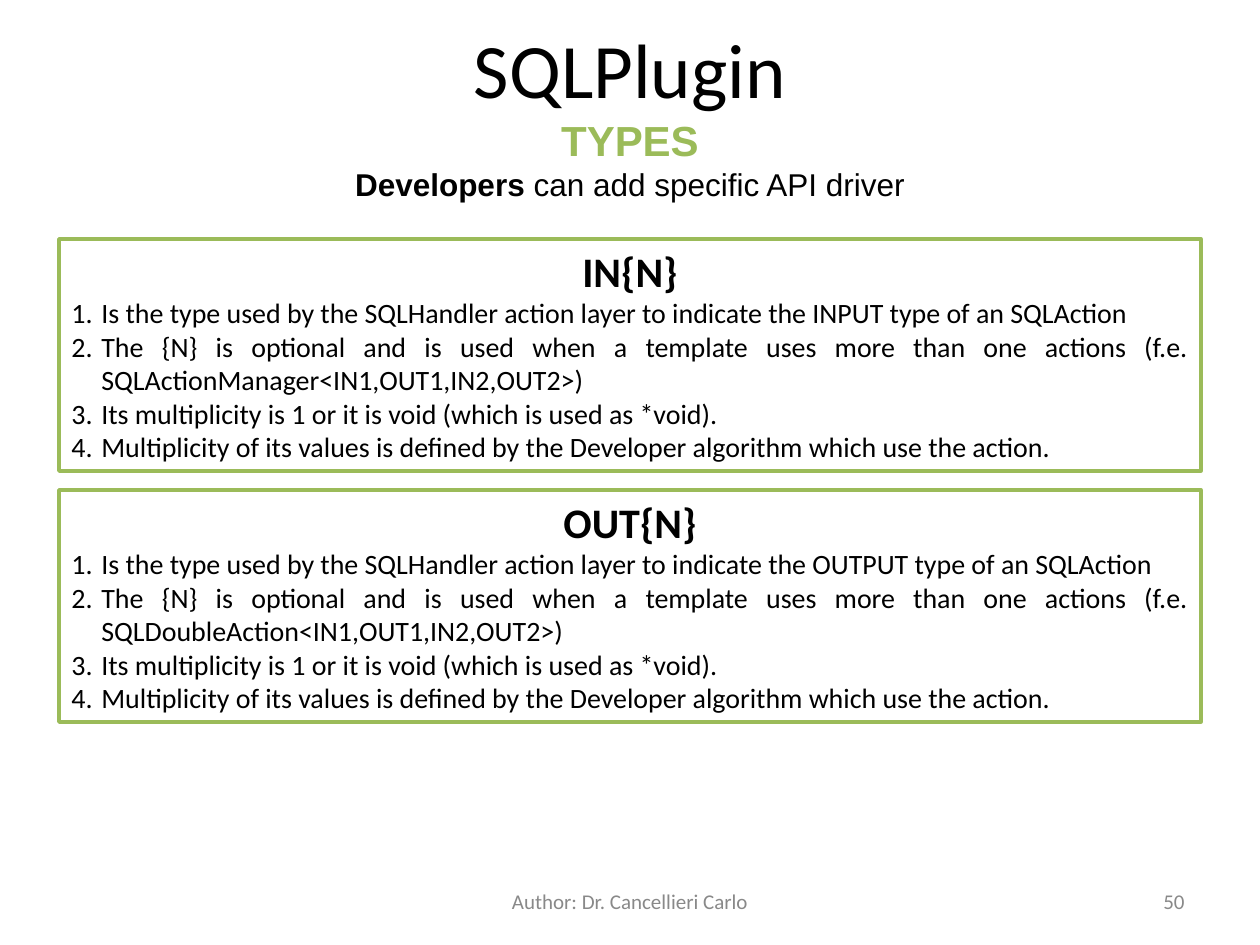
from dataclasses import dataclass

from lxml import etree
from pptx import Presentation
from pptx.dml.color import RGBColor
from pptx.enum.shapes import MSO_SHAPE
from pptx.enum.text import MSO_ANCHOR, PP_ALIGN
from pptx.oxml.ns import qn
from pptx.util import Emu, Pt

RECT = MSO_SHAPE.RECTANGLE
TOP, MIDDLE = MSO_ANCHOR.TOP, MSO_ANCHOR.MIDDLE
CENTER, RIGHT, JUSTIFY = PP_ALIGN.CENTER, PP_ALIGN.RIGHT, PP_ALIGN.JUSTIFY
SCALE = 914400 / 126


@dataclass(frozen=True)
class Theme:
    """Colours, fonts and type sizes of the slide."""
    ink: str = "000000"
    green: str = "9BBB59"
    grey: str = "898989"
    paper: str = "FFFFFF"
    main: str = "Calibri"
    sub: str = "Arial"
    title: int = 44
    head: int = 24
    lead: int = 18
    body: int = 16
    foot: int = 12


THEME = Theme()


def px(num):
    """Turn pixels into EMU."""
    return Emu(round(num * SCALE))


def style(para, size, color=THEME.ink, face=THEME.main, bold=False, align=CENTER):
    """Format a paragraph and its runs."""
    para.alignment = align
    for run in para.runs:
        font = run.font
        font.size, font.name, font.bold = Pt(size), face, bold
        font.color.rgb = RGBColor.from_string(color)


def number(para):
    """Give a paragraph an automatic number and a hanging indent."""
    props = para._p.get_or_add_pPr()
    props.set("marL", str(px(30)))
    props.set("indent", str(-px(30)))
    etree.SubElement(props, qn("a:buFont"), typeface=THEME.main)
    etree.SubElement(props, qn("a:buAutoNum"), type="arabicPeriod")


def add_text(slide, box, text, anchor=MIDDLE):
    """Place a wrapping text box and return its paragraphs."""
    frame = slide.shapes.add_textbox(*map(px, box)).text_frame
    frame.word_wrap = True
    frame.vertical_anchor = anchor
    frame.text = text
    return frame.paragraphs


def add_head(slide, box):
    """Draw the title with the subtitle and lead line under it."""
    left, top, width, height = box
    title, = add_text(slide, (left + 36, top, width - 72, 136), "SQLPlugin")
    style(title, THEME.title)
    types, lead = add_text(slide, (left, top + 108, width, height - 108),
                           "TYPES\nDevelopers", TOP)
    style(types, THEME.head, THEME.green, THEME.sub, True)
    lead.add_run().text = " can add specific API driver"
    style(lead, THEME.lead, face=THEME.sub)
    lead.runs[0].font.bold = True


def add_panel(slide, box, name, kind, sample):
    """Draw a framed panel with a heading and a numbered list."""
    shape = slide.shapes.add_shape(RECT, *map(px, box))
    shape.shadow.inherit = False
    shape.fill.solid()
    shape.fill.fore_color.rgb = RGBColor.from_string(THEME.paper)
    shape.line.color.rgb = RGBColor.from_string(THEME.green)
    shape.line.width = Pt(2)
    frame = shape.text_frame
    frame.word_wrap = True
    frame.vertical_anchor = TOP
    frame.text = "\n".join([
        name,
        f"Is the type used by the SQLHandler action layer to indicate the {kind} type of an SQLAction",
        "The {N} is optional and is used when a template uses more than one actions "
        f"(f.e. {sample}<IN1,OUT1,IN2,OUT2>)",
        "Its multiplicity is 1 or it is void (which is used as *void).",
        "Multiplicity of its values is defined by the Developer algorithm which use the action.",
    ])
    head, *items = frame.paragraphs
    style(head, THEME.head, bold=True)
    for item in items:
        number(item)
        style(item, THEME.body, align=JUSTIFY)


def add_foot(slide, box):
    """Draw the author line and the slide number."""
    left, top, width, height = box
    author, = add_text(slide, (left + (width - 400) // 2, top, 400, height),
                       "Author: Dr. Cancellieri Carlo")
    style(author, THEME.foot, THEME.grey)
    page, = add_text(slide, (left + width - 294, top, 294, height), "50")
    style(page, THEME.foot, THEME.grey, align=RIGHT)


def main():
    """Build and save the slide."""
    deck = Presentation()
    deck.slide_width, deck.slide_height = px(1260), px(945)
    slide = deck.slides.add_slide(deck.slide_layouts[6])
    add_head(slide, (59, 0, 1142, 209))
    panels = [("IN{N}", "INPUT", "SQLActionManager"),
              ("OUT{N}", "OUTPUT", "SQLDoubleAction")]
    for row, panel in enumerate(panels):
        add_panel(slide, (59, 239 + row * 251, 1142, 232), *panel)
    add_foot(slide, (63, 876, 1134, 50))
    deck.save("out.pptx")


if __name__ == "__main__":
    main()
